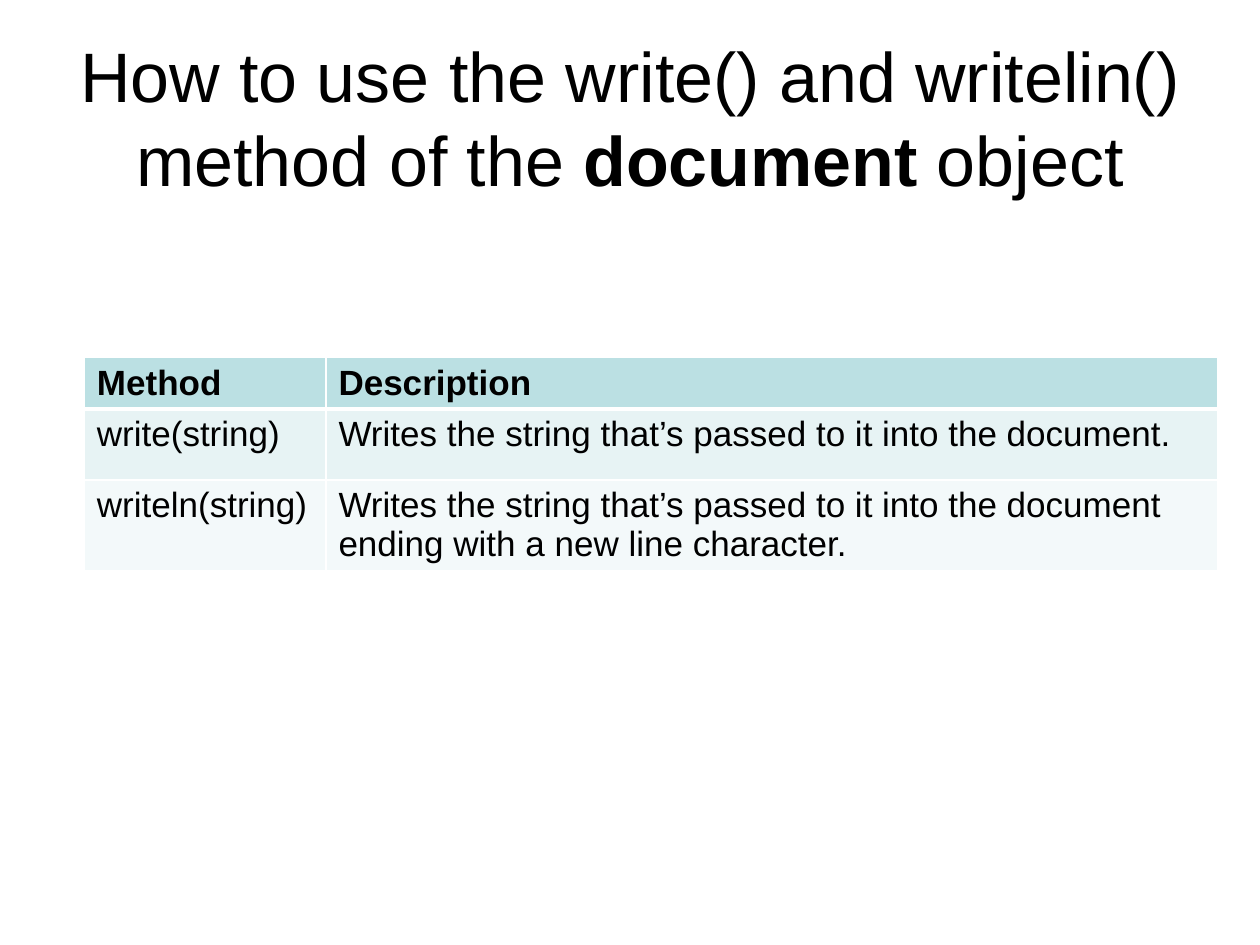
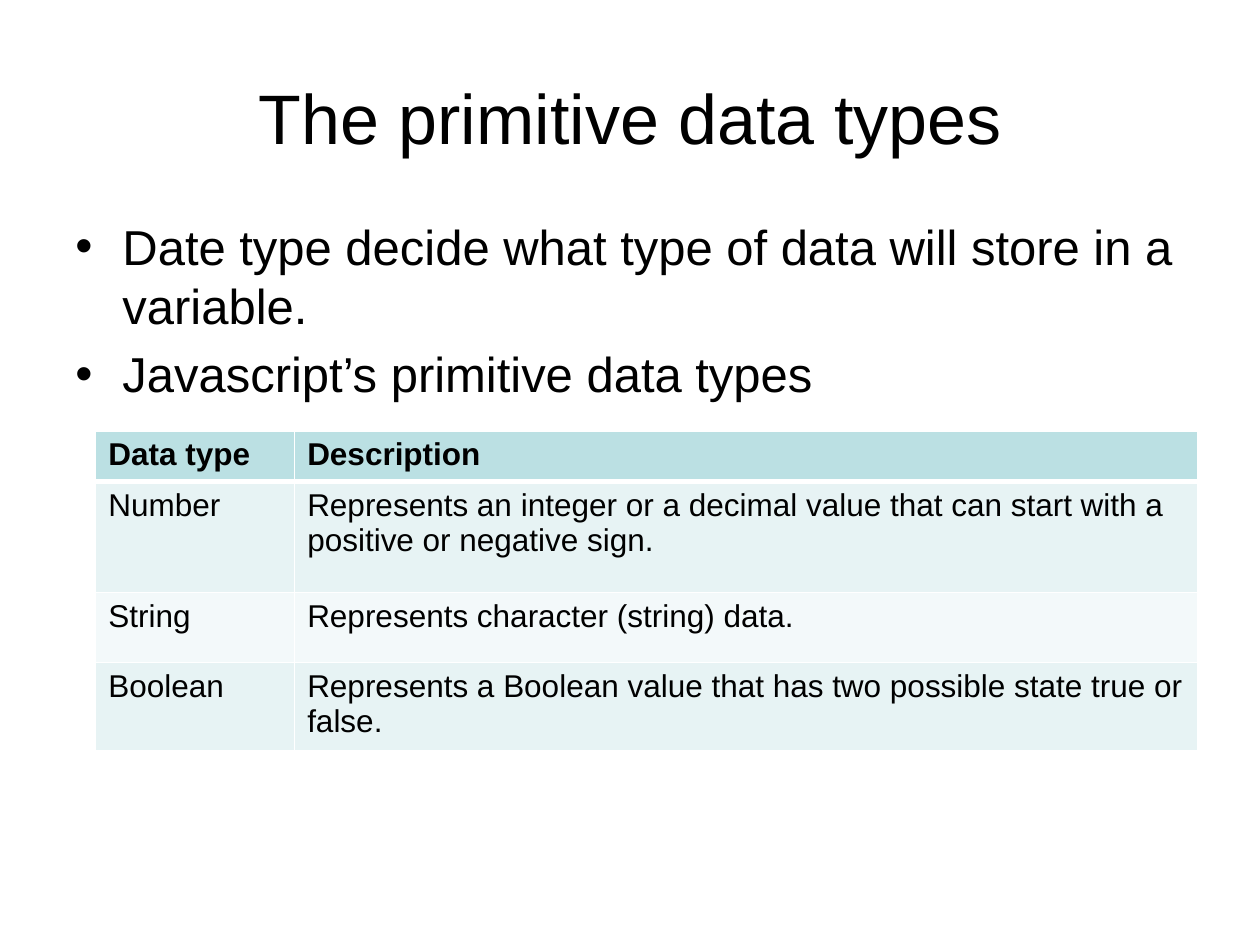
import pptx
import pptx.util
import pptx.dml.color
import pptx.enum.text
import pptx.oxml
import pptx.oxml.ns
from pptx.util import Cm

HUES = {"ink": "000000", "head": "BBE0E3", "odd": "E7F3F4",
        "even": "F3F9FA", "rule": "FFFFFF"}
FONT = "Arial"
TITLE_BOX = {"left": Cm(1.27), "top": Cm(0.76), "width": Cm(22.86), "height": Cm(3.18)}
TITLE_ONLY = 5


def color(name):
    return pptx.dml.color.RGBColor.from_string(HUES[name])


def apply(target, values):
    for name, value in values.items():
        setattr(target, name, value)


def element(tag, inner="", **attrs):
    """Make a DrawingML element from its tag, inner XML and attributes."""
    text = "".join(f' {name}="{value}"' for name, value in attrs.items())
    space = pptx.oxml.ns.nsdecls("a")
    return pptx.oxml.parse_xml(f"<a:{tag} {space}{text}>{inner}</a:{tag}>")


class Deck:
    def __init__(self):
        self.show = pptx.Presentation()
        apply(self.show, {"slide_width": Cm(25.4), "slide_height": Cm(19.05)})
        self.slide = None

    def words(self, para, text, size, bold=False):
        run = para.add_run()
        run.text = text
        apply(run.font, {"name": FONT, "size": pptx.util.Pt(size), "bold": bold})
        run.font.color.rgb = color("ink")

    def title(self, *parts):
        """Start a slide; every second part of its title is bold."""
        self.slide = self.show.slides.add_slide(self.show.slide_layouts[TITLE_ONLY])
        shape = self.slide.shapes.title
        apply(shape, TITLE_BOX)
        apply(shape.text_frame, {
            "word_wrap": True,
            "auto_size": pptx.enum.text.MSO_AUTO_SIZE.NONE,
            "vertical_anchor": pptx.enum.text.MSO_ANCHOR.MIDDLE})
        para = shape.text_frame.paragraphs[0]
        para.alignment = pptx.enum.text.PP_ALIGN.CENTER
        for index, part in enumerate(parts):
            self.words(para, part, 40, index % 2 == 1)

    def bullets(self, box, lines, size=28):
        frame = self.slide.shapes.add_textbox(*map(Cm, box)).text_frame
        frame.word_wrap = True
        for index, line in enumerate(lines):
            para = frame.add_paragraph() if index else frame.paragraphs[0]
            para.space_before = pptx.util.Pt(size * 0.2)
            props = para._p.get_or_add_pPr()
            props.set("marL", str(Cm(0.95)))
            props.set("indent", str(-Cm(0.95)))
            props.append(element("buFont", typeface=FONT))
            props.append(element("buChar", char="•"))
            self.words(para, line, size)

    def border(self, cell, row):
        """Draw white rules, with a thick one under the header row."""
        thick = {"T": row == 1, "B": row == 0}
        fill = f'<a:solidFill><a:srgbClr val="{HUES["rule"]}"/></a:solidFill>'
        props = cell._tc.get_or_add_tcPr()
        for index, side in enumerate("LRTB"):
            width = pptx.util.Pt(3 if thick.get(side) else 1)
            props.insert(index, element(f"ln{side}", fill, w=int(width)))

    def table(self, left, top, widths, heights, rows, size):
        frame = self.slide.shapes.add_table(
            len(rows), len(widths), Cm(left), Cm(top),
            Cm(sum(widths)), Cm(sum(heights)))
        grid = frame.table
        for column, width in zip(grid.columns, widths):
            column.width = Cm(width)
        for index, (height, texts) in enumerate(zip(heights, rows)):
            grid.rows[index].height = Cm(height)
            hue = "head" if index == 0 else "odd" if index % 2 else "even"
            for cell, text in zip(grid.rows[index].cells, texts):
                cell.fill.solid()
                cell.fill.fore_color.rgb = color(hue)
                self.border(cell, index)
                self.words(cell.text_frame.paragraphs[0], text, size, index == 0)


def main():
    deck = Deck()

    deck.title("How to use the write() and writelin() method of the ",
               "document", " object")
    deck.table(1.7, 7.2, (4.87, 17.98), (1.03, 1.43, 1.82), (
        ("Method", "Description"),
        ("write(string)", "Writes the string that’s passed to it into the document."),
        ("writeln(string)", "Writes the string that’s passed to it into the document "
                            "ending with a new line character."),
    ), 20)

    deck.title("The primitive data types")
    deck.bullets((1.27, 4.24, 22.86, 12.57), (
        "Date type decide what type of data will store in a variable.",
        "Javascript’s primitive data types",
    ))
    deck.table(1.93, 8.69, (4.01, 18.21), (1.01, 2.24, 1.41, 1.67), (
        ("Data type", "Description"),
        ("Number", "Represents an integer or a decimal value that can start with "
                   "a positive or negative sign."),
        ("String", "Represents character (string) data."),
        ("Boolean", "Represents a Boolean value that has two possible state "
                    "true or false."),
    ), 18)

    deck.show.save("out.pptx")


if __name__ == "__main__":
    main()
